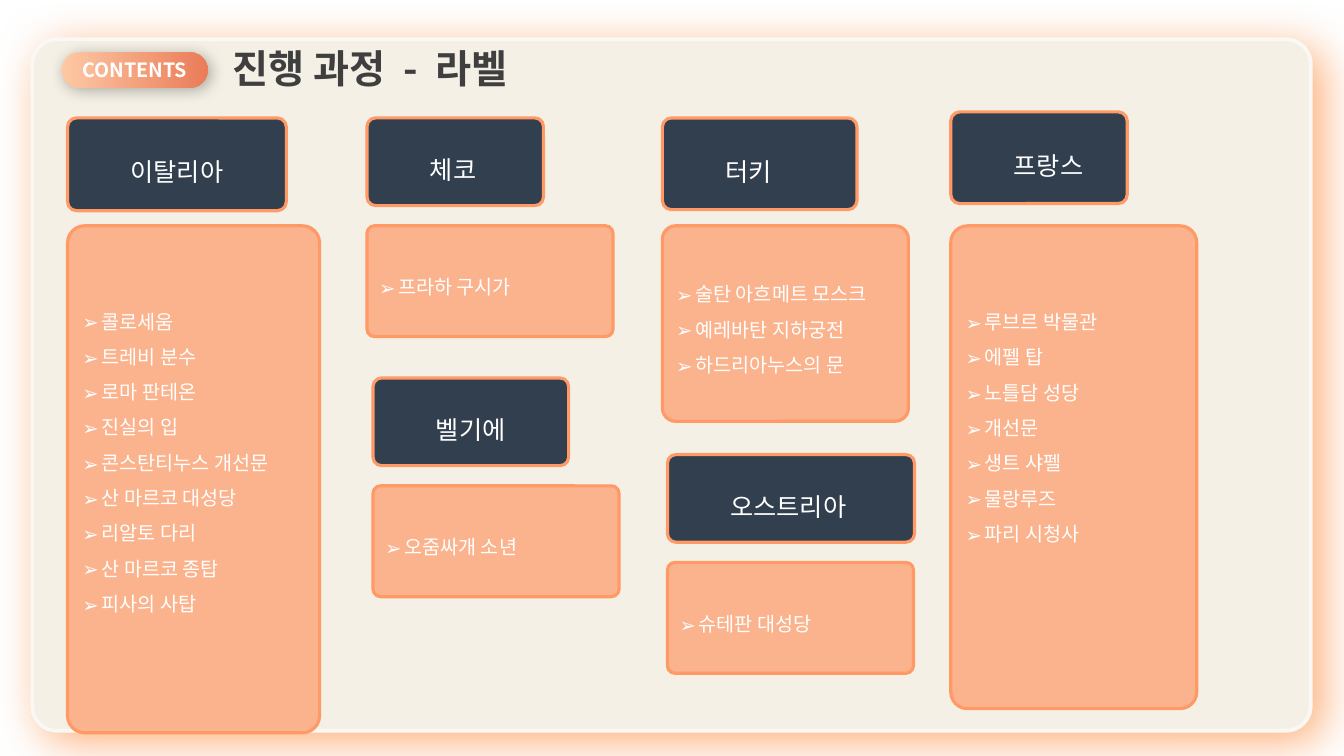
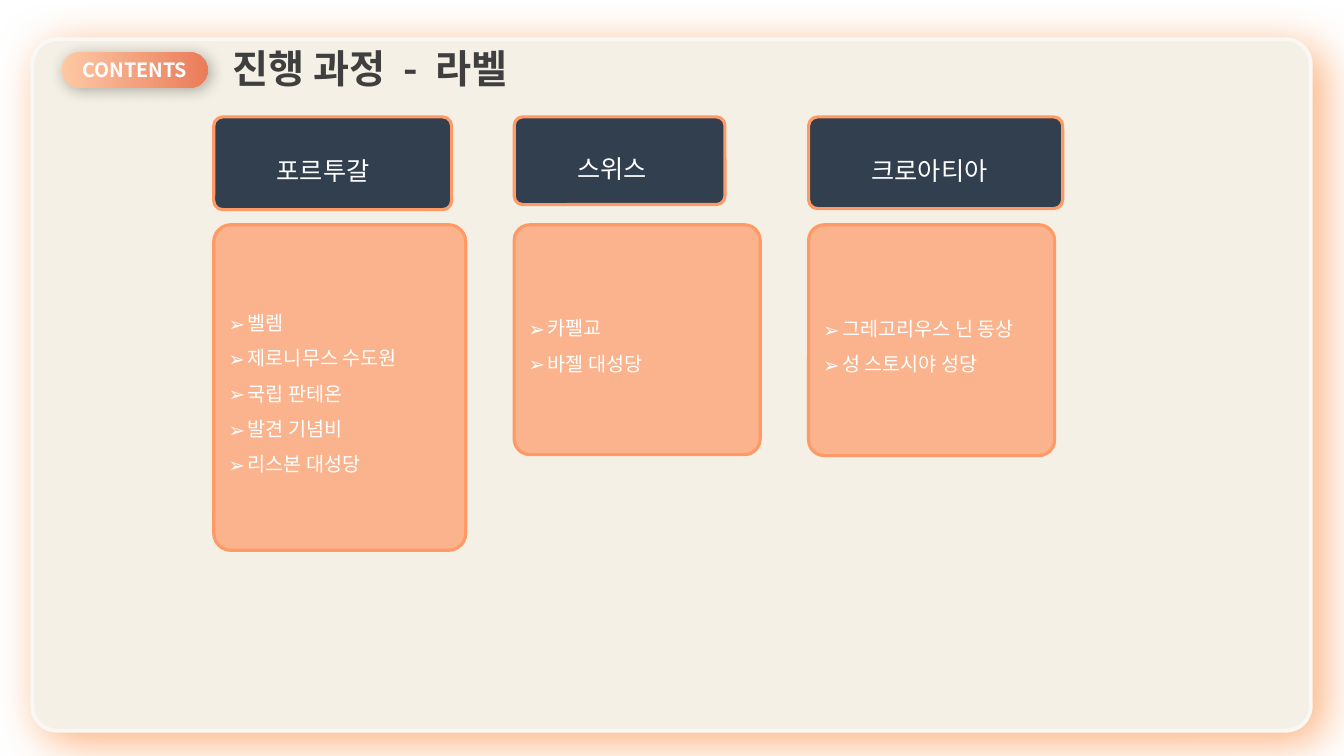
from dataclasses import dataclass

from lxml.etree import SubElement
from pptx import Presentation
from pptx.dml.color import RGBColor
from pptx.enum.shapes import MSO_SHAPE
from pptx.enum.text import MSO_ANCHOR, MSO_AUTO_SIZE, PP_ALIGN
from pptx.oxml.ns import qn
from pptx.util import Inches, Pt

FONT = "Noto Sans CJK KR"
WHITE = "FFFFFF"
INK = "3F3F3F"
PANEL = "F4F0E5"
PANEL_EDGE = "FAF8F4"
GLOW = "FDB07A"
ORANGE = "FF9966"
NAVY = "323F4F"
BADGE_GRADIENT = ("FEC8A4", "EA7C59")
BODY_OFFSET = 1.07
BULLET_INDENT = 0.19


@dataclass
class Country:
    """A country header and the landmarks listed below it."""
    name: str
    left: float
    top: float
    header_size: tuple
    body_size: tuple
    landmarks: list
    header_rise: float = 0
    bottom_space: float = 0


LABEL_SLIDES = [
    [
        Country("이탈리아", 0.67, 1.17, (2.17, 0.92), (2.5, 5.03),
                ["콜로세움", "트레비 분수", "로마 판테온", "진실의 입",
                 "콘스탄티누스 개선문", "산 마르코 대성당", "리알토 다리",
                 "산 마르코 종탑", "피사의 사탑"], bottom_space=0.45),
        Country("체코", 3.64, 1.17, (1.75, 0.87), (2.44, 1.1), ["프라하 구시가"]),
        Country("터키", 6.57, 1.17, (1.93, 0.91), (2.44, 1.94),
                ["술탄 아흐메트 모스크", "예레바탄 지하궁전", "하드리아누스의 문"]),
        Country("프랑스", 9.43, 1.17, (1.75, 0.91), (2.44, 4.79),
                ["루브르 박물관", "에펠 탑", "노틀담 성당", "개선문",
                 "생트 샤펠", "물랑루즈", "파리 시청사"],
                header_rise=0.06, bottom_space=0.9),
        Country("벨기에", 3.7, 3.75, (1.94, 0.87), (2.44, 1.1), ["오줌싸개 소년"]),
        Country("오스트리아", 6.62, 4.51, (2.45, 0.87), (2.44, 1.1), ["슈테판 대성당"]),
    ],
    [
        Country("포르투갈", 2.12, 1.16, (2.36, 0.92), (2.5, 3.23),
                ["벨렘", "제로니무스 수도원", "국립 판테온", "발견 기념비", "리스본 대성당"]),
        Country("스위스", 5.1, 1.16, (2.09, 0.87), (2.44, 2.28),
                ["카펠교", "바젤 대성당"]),
        Country("크로아티아", 8.02, 1.16, (2.52, 0.91), (2.44, 2.29),
                ["그레고리우스 닌 동상", "성 스토시야 성당"]),
    ],
]


def color(value):
    """Return the colour for a hex string."""
    return RGBColor.from_string(value)


def format_paragraph(paragraph, size, ink, bold=False, align=PP_ALIGN.LEFT):
    """Set the shared font and alignment of a paragraph."""
    paragraph.alignment = align
    font = paragraph.font
    font.name, font.size, font.bold = FONT, Pt(size), bold
    font.color.rgb = color(ink)
    defaults = paragraph._p.pPr.find(qn("a:defRPr"))
    SubElement(defaults, qn("a:ea"), typeface=FONT)


def add_bullet(paragraph):
    """Give a paragraph a white arrow bullet with a hanging indent."""
    properties = paragraph._p.get_or_add_pPr()
    indent = Inches(BULLET_INDENT)
    properties.set("marL", str(indent))
    properties.set("indent", str(-indent))
    bullet_color = SubElement(properties, qn("a:buClr"))
    SubElement(bullet_color, qn("a:srgbClr"), val=WHITE)
    SubElement(properties, qn("a:buFont"), typeface=FONT)
    SubElement(properties, qn("a:buChar"), char="➢")


def add_shadow(shape, value, alpha, blur, distance):
    """Cast a soft shadow down and to the right of a shape."""
    effects = shape._element.spPr.find(qn("a:effectLst"))
    shadow = SubElement(effects, qn("a:outerShdw"), blurRad=str(Pt(blur)),
                        dist=str(Pt(distance)), dir="2700000", algn="ctr",
                        rotWithShape="0")
    shade = SubElement(shadow, qn("a:srgbClr"), val=value)
    SubElement(shade, qn("a:alpha"), val=str(alpha * 1000))


def add_round_box(slide, left, top, width, height, rounding,
                  fill=None, edge=None, edge_width=2.25):
    """Add a rounded rectangle with a plain fill and outline."""
    shape = slide.shapes.add_shape(
        MSO_SHAPE.ROUNDED_RECTANGLE,
        Inches(left), Inches(top), Inches(width), Inches(height))
    shape.adjustments[0] = rounding
    shape.shadow.inherit = False
    if fill:
        shape.fill.solid()
        shape.fill.fore_color.rgb = color(fill)
    if edge:
        shape.line.color.rgb = color(edge)
        shape.line.width = Pt(edge_width)
    else:
        shape.line.fill.background()
    shape.text_frame.word_wrap = True
    shape.text_frame.vertical_anchor = MSO_ANCHOR.MIDDLE
    return shape


def add_badge(slide, left, top, width, height):
    """Add the gradient contents badge."""
    badge = add_round_box(slide, left, top, width, height, 0.5)
    badge.fill.gradient()
    badge.fill.gradient_angle = 0
    for position, (stop, value) in enumerate(
            zip(badge.fill.gradient_stops, BADGE_GRADIENT)):
        stop.position = position
        stop.color.rgb = color(value)
    add_shadow(badge, "000000", 29, 11, 3)
    paragraph = badge.text_frame.paragraphs[0]
    paragraph.add_run().text = "CONTENTS"
    format_paragraph(paragraph, 14, WHITE, True, PP_ALIGN.CENTER)


def place_title(slide, left, top, width, height):
    """Place and format the title in front of the panel."""
    title = slide.shapes.title
    title.left, title.top = Inches(left), Inches(top)
    title.width, title.height = Inches(width), Inches(height)
    frame = title.text_frame
    frame.word_wrap = True
    frame.auto_size = MSO_AUTO_SIZE.NONE
    frame.vertical_anchor = MSO_ANCHOR.TOP
    paragraph = frame.paragraphs[0]
    for text in ("진행 과정", " -", " 라벨"):
        run = paragraph.add_run()
        run.text = text
        if text == " -":
            run._r.get_or_add_rPr().set("spc", "630")
    format_paragraph(paragraph, 28, INK, True)
    slide.shapes._spTree.append(title._element)


def add_country(slide, country):
    """Add a country's landmark list and its header."""
    body = add_round_box(slide, country.left, country.top + BODY_OFFSET,
                         *country.body_size, 0.068, ORANGE, ORANGE)
    fill_color = body._element.spPr.find(qn("a:solidFill")).find(qn("a:srgbClr"))
    SubElement(fill_color, qn("a:alpha"), val="69000")
    frame = body.text_frame
    frame.margin_bottom = Inches(0.05 + country.bottom_space)
    for index, landmark in enumerate(country.landmarks):
        paragraph = frame.add_paragraph() if index else frame.paragraphs[0]
        paragraph.add_run().text = landmark
        add_bullet(paragraph)
        paragraph.line_spacing = 1.5
        format_paragraph(paragraph, 14, WHITE)

    header = add_round_box(slide, country.left, country.top - country.header_rise,
                           *country.header_size, 0.097, NAVY, ORANGE)
    paragraph = header.text_frame.paragraphs[0]
    paragraph.add_run().text = country.name
    paragraph._p.get_or_add_pPr().set("marL", str(Inches(0.5)))
    paragraph.line_spacing = 1.5
    format_paragraph(paragraph, 18, WHITE)


def add_label_slide(presentation, countries):
    """Add a slide with the shared panel, heading and its countries."""
    slide = presentation.slides.add_slide(presentation.slide_layouts[5])
    panel = add_round_box(slide, 0.32, 0.39, 12.68, 6.86, 0.036,
                          PANEL, PANEL_EDGE, 2.75)
    add_shadow(panel, GLOW, 100, 33, 10)
    add_badge(slide, 0.61, 0.52, 1.45, 0.35)
    place_title(slide, 2.21, 0.39, 7.12, 0.57)
    for country in countries:
        add_country(slide, country)


def main():
    """Build and save the presentation."""
    presentation = Presentation()
    presentation.slide_width = Inches(13.33)
    presentation.slide_height = Inches(7.5)
    for countries in LABEL_SLIDES:
        add_label_slide(presentation, countries)
    presentation.save("out.pptx")


if __name__ == "__main__":
    main()
